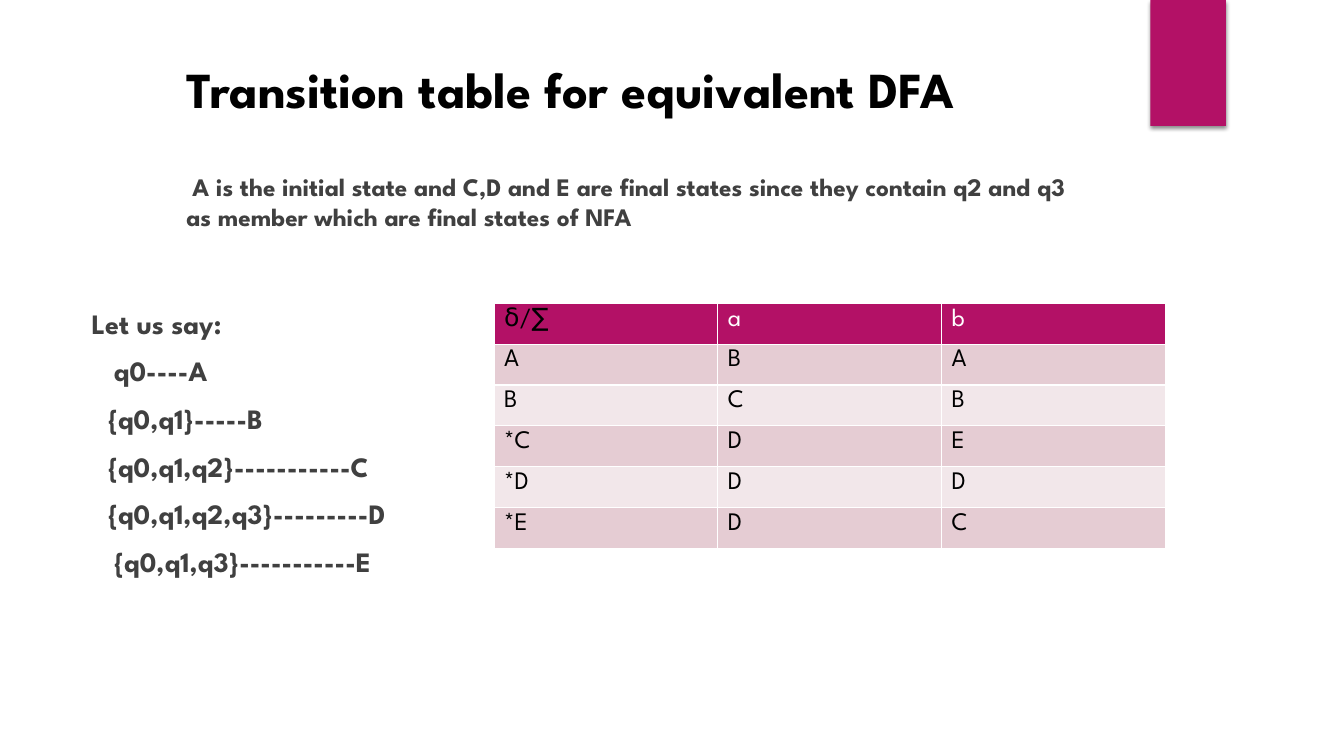
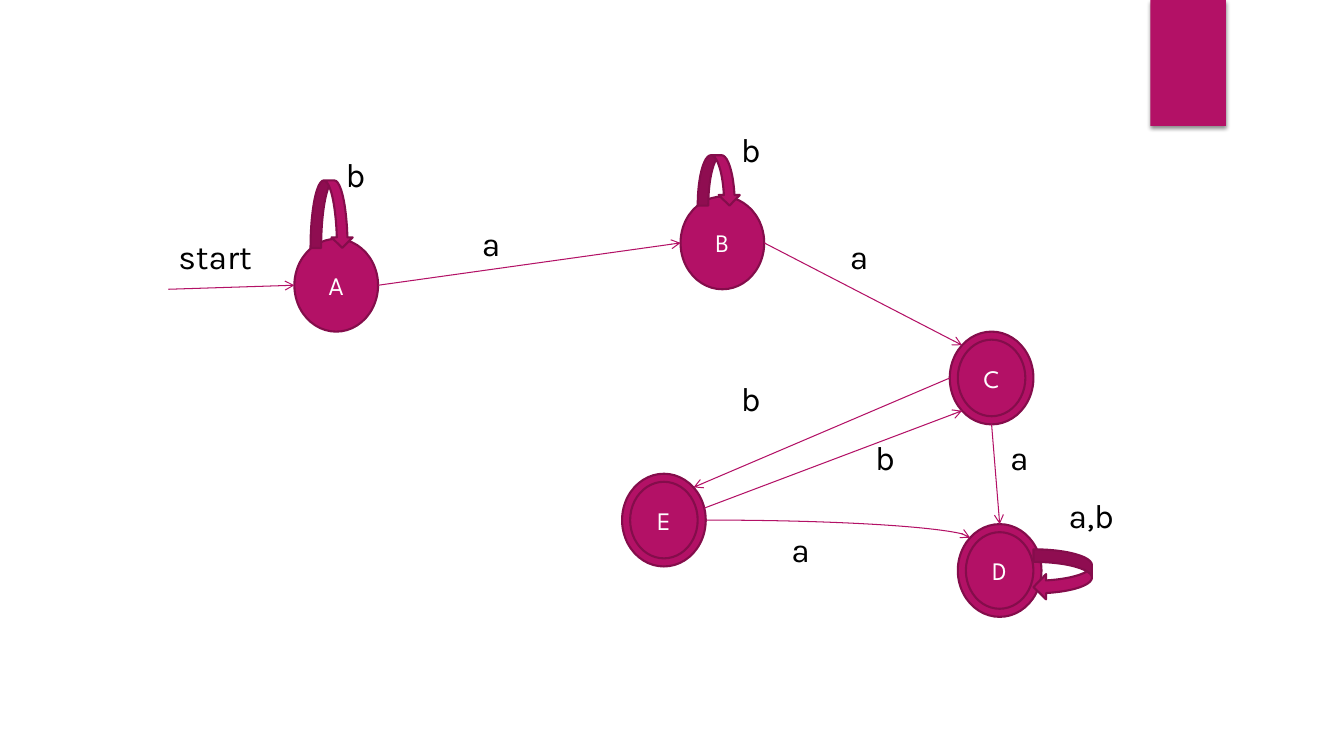
from math import cos, radians, sin

from lxml import etree
from pptx import Presentation
from pptx.dml.color import RGBColor
from pptx.enum.shapes import MSO_CONNECTOR, MSO_SHAPE
from pptx.enum.text import MSO_ANCHOR, MSO_AUTO_SIZE, PP_ALIGN
from pptx.oxml import parse_xml
from pptx.oxml.ns import nsdecls, qn
from pptx.util import Inches, Pt

MAGENTA = RGBColor(0xB3, 0x11, 0x66)
DARK_MAGENTA = RGBColor(0x84, 0x0D, 0x4B)
ROSE = RGBColor(0xE5, 0xCC, 0xD3)
PALE_ROSE = RGBColor(0xF2, 0xE7, 0xEA)
CHARCOAL = RGBColor(0x40, 0x40, 0x40)
BLACK = RGBColor(0, 0, 0)
WHITE = RGBColor(0xFF, 0xFF, 0xFF)

RECTANGLE, OVAL = MSO_SHAPE.RECTANGLE, MSO_SHAPE.OVAL
LOOP_DOWN, LOOP_LEFT = MSO_SHAPE.CURVED_DOWN_ARROW, MSO_SHAPE.CURVED_LEFT_ARROW
STRAIGHT, CURVE = MSO_CONNECTOR.STRAIGHT, MSO_CONNECTOR.CURVE
LEFT, CENTER, MIDDLE = PP_ALIGN.LEFT, PP_ALIGN.CENTER, MSO_ANCHOR.MIDDLE
FIT_TEXT = MSO_AUTO_SIZE.SHAPE_TO_FIT_TEXT

HEADING_FONT, LABEL_FONT = "League Spartan", "Karla"
TITLE_ONLY, BLANK = 5, 6
STATE_WIDTH, STATE_HEIGHT, RING_GAP = 0.83, 0.92, 0.08

SHADOW = f"""<a:effectLst {nsdecls("a")}>
<a:outerShdw blurRad="38100" dist="25400" dir="5400000" rotWithShape="0">
<a:srgbClr val="000000"><a:alpha val="45000"/></a:srgbClr>
</a:outerShdw></a:effectLst>"""


class Deck:
    def __init__(self):
        self.presentation = Presentation()
        self.presentation.slide_width = Inches(13.33)
        self.presentation.slide_height = Inches(7.5)
        self.slide = None

    def new_slide(self, title=None):
        layout = BLANK if title is None else TITLE_ONLY
        self.slide = self.presentation.slides.add_slide(
            self.presentation.slide_layouts[layout])
        band = self.shape(RECTANGLE, 11.41, 0, 0.75, 1.25)
        band.line.fill.background()
        properties = band._element.spPr
        properties.remove(properties.find(qn("a:effectLst")))
        properties.append(parse_xml(SHADOW))
        if title is not None:
            self.title(title)

    def title(self, text):
        shape = self.slide.shapes.title
        shape.left, shape.top = Inches(1.75), Inches(0.49)
        shape.width, shape.height = Inches(9.58), Inches(0.77)
        shape.text_frame.vertical_anchor = MIDDLE
        paragraph = shape.text_frame.paragraphs[0]
        paragraph.alignment = LEFT
        self.run(paragraph, text, 36, BLACK, bold=True)

    def run(self, paragraph, text, size, color, font=HEADING_FONT, bold=False):
        run = paragraph.add_run()
        run.text = text
        run.font.name = font
        run.font.size = Pt(size)
        run.font.bold = bold
        run.font.color.rgb = color

    def shape(self, kind, left, top, width, height):
        shape = self.slide.shapes.add_shape(
            kind, Inches(left), Inches(top), Inches(width), Inches(height))
        shape.shadow.inherit = False
        shape.fill.solid()
        shape.fill.fore_color.rgb = MAGENTA
        shape.line.color.rgb = DARK_MAGENTA
        shape.line.width = Pt(1.5)
        return shape

    def text_box(self, left, top, width, height):
        box = self.slide.shapes.add_textbox(
            Inches(left), Inches(top), Inches(width), Inches(height))
        box.text_frame.word_wrap = True
        return box.text_frame

    def body(self, left, top, width, height, lines, size):
        frame = self.text_box(left, top, width, height)
        for index, (text, margin, first_indent) in enumerate(lines):
            paragraph = frame.add_paragraph() if index else frame.paragraphs[0]
            paragraph.space_before = Pt(10)
            properties = paragraph._p.get_or_add_pPr()
            properties.set("marL", str(Inches(margin)))
            properties.set("indent", str(Inches(first_indent)))
            self.run(paragraph, text, size, CHARCOAL, bold=True)

    def label(self, text, left, top, width=0.58):
        frame = self.text_box(left, top, width, 0.5)
        frame.auto_size = FIT_TEXT
        self.run(frame.paragraphs[0], text, 24, BLACK, LABEL_FONT)

    def state(self, name, left, top, final):
        shape = self.shape(OVAL, left, top, STATE_WIDTH, STATE_HEIGHT)
        if final:
            shape = self.shape(OVAL, left + RING_GAP, top + RING_GAP,
                               STATE_WIDTH - 2 * RING_GAP,
                               STATE_HEIGHT - 2 * RING_GAP)
        shape.text_frame.vertical_anchor = MIDDLE
        paragraph = shape.text_frame.paragraphs[0]
        paragraph.alignment = CENTER
        self.run(paragraph, name, 18, WHITE)

    def arrow(self, start, end, kind=STRAIGHT):
        connector = self.slide.shapes.add_connector(
            kind, *(Inches(value) for value in (*start, *end)))
        connector.line.color.rgb = MAGENTA
        connector.line.width = Pt(0.75)
        properties = connector._element.spPr
        if kind == CURVE:
            properties.find(qn("a:prstGeom")).set("prst", "curvedConnector2")
        etree.SubElement(properties.find(qn("a:ln")), qn("a:tailEnd"), type="arrow")
        etree.SubElement(properties, qn("a:effectLst"))

    def table(self, left, top, width, height, rows):
        table = self.slide.shapes.add_table(
            len(rows), len(rows[0]), Inches(left), Inches(top),
            Inches(width), Inches(height)).table
        for row_index, row in enumerate(rows):
            for column_index, text in enumerate(row):
                header = row_index == 0
                fill = MAGENTA if header else (PALE_ROSE, ROSE)[row_index % 2]
                color = WHITE if header and column_index else BLACK
                self.cell(table.cell(row_index, column_index), text, fill, color)

    def cell(self, cell, text, fill, color):
        self.run(cell.text_frame.paragraphs[0], text, 18, color)
        properties = cell._tc.get_or_add_tcPr()
        for side in ("lnL", "lnR", "lnT", "lnB"):
            border = etree.SubElement(properties, qn(f"a:{side}"), w=str(Pt(1)))
            border_fill = etree.SubElement(border, qn("a:solidFill"))
            etree.SubElement(border_fill, qn("a:srgbClr"), val=str(WHITE))
        cell.fill.solid()
        cell.fill.fore_color.rgb = fill


def transition_table(deck):
    deck.new_slide("Transition table for equivalent DFA")
    deck.body(1.75, 1.65, 9, 0.9, [
        ("A is the initial state and C,D and E are final states since they "
         "contain q2 and q3 as member which are final states of NFA", 0, 0.06),
    ], 18)
    deck.table(4.9, 3.01, 6.66, 2.43, [
        ("δ/∑", "a", "b"),
        ("A", "B", "A"),
        ("B", "C", "B"),
        ("*C", "D", "E"),
        ("*D", "D", "D"),
        ("*E", "D", "C"),
    ])
    deck.body(0.81, 2.99, 4, 3.74, [
        ("Let us say:", 0, 0),
        ("q0----A", 0.22, 0),
        ("{q0,q1}-----B", 0.16, 0),
        ("{q0,q1,q2}-----------C", 0.16, 0),
        ("{q0,q1,q2,q3}---------D", 0.16, 0),
        ("{q0,q1,q3}-----------E", 0.22, 0),
    ], 20)


def transition_diagram(deck):
    deck.new_slide()
    states = {
        "A": (2.92, 2.37, False),
        "B": (6.75, 1.95, False),
        "C": (9.42, 3.29, True),
        "D": (9.5, 5.2, True),
        "E": (6.17, 4.7, True),
    }

    def rim(name, degrees):
        left, top, _ = states[name]
        angle = radians(degrees)
        return (left + STATE_WIDTH / 2 * (1 + cos(angle)),
                top + STATE_HEIGHT / 2 * (1 - sin(angle)))

    for name, place in states.items():
        deck.state(name, *place)

    deck.arrow((1.67, 2.87), rim("A", 180))
    for source, source_angle, target, target_angle, kind in (
        ("A", 0, "B", 180, STRAIGHT),
        ("B", 0, "C", 135, STRAIGHT),
        ("C", 180, "E", 45, STRAIGHT),
        ("C", 270, "D", 90, STRAIGHT),
        ("E", 0, "D", 135, CURVE),
        ("E", 15, "C", 225, STRAIGHT),
    ):
        deck.arrow(rim(source, source_angle), rim(target, target_angle), kind)

    deck.shape(LOOP_DOWN, 3.08, 1.79, 0.42, 0.67)
    deck.shape(LOOP_DOWN, 6.92, 1.54, 0.42, 0.5)
    deck.shape(LOOP_LEFT, 10.25, 5.45, 0.58, 0.5)

    for text, left, top in (
        ("a", 4.68, 2.16),
        ("a", 8.33, 2.29),
        ("b", 7.25, 3.7),
        ("b", 8.58, 4.29),
        ("a", 7.75, 5.2),
        ("b", 3.33, 1.48),
        ("b", 7.25, 1.23),
        ("a", 9.92, 4.29),
    ):
        deck.label(text, left, top)
    deck.label("a,b", 10.5, 4.86, 0.83)
    deck.label("start", 1.67, 2.29, 1.08)


def main():
    deck = Deck()
    transition_table(deck)
    transition_diagram(deck)
    deck.presentation.save("out.pptx")


if __name__ == "__main__":
    main()
